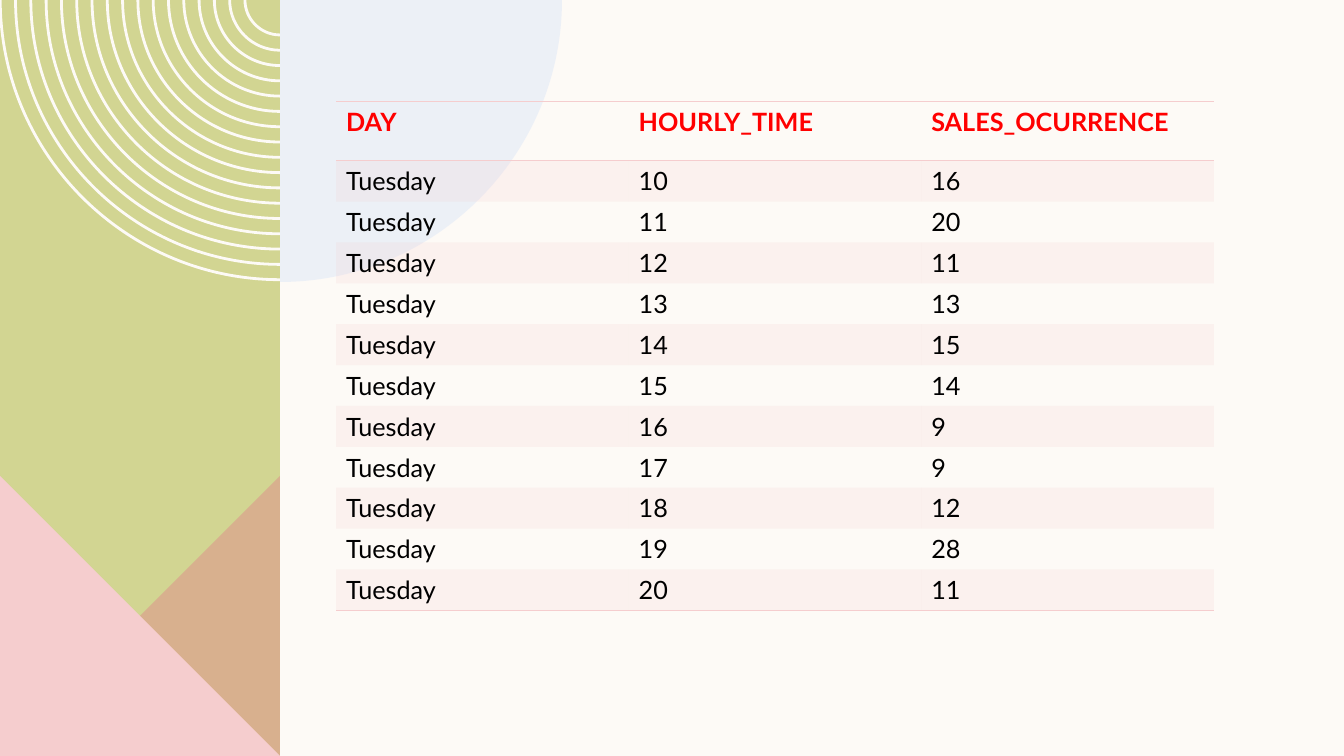
from lxml.etree import SubElement
from pptx import Presentation
from pptx.dml.color import RGBColor
from pptx.enum.text import MSO_ANCHOR
from pptx.oxml.ns import qn
from pptx.util import Emu, Pt

CREAM = RGBColor(0xFD, 0xFA, 0xF6)
OLIVE = RGBColor(0xD2, 0xD5, 0x92)
ROSE = RGBColor(0xDE, 0x8C, 0x8C)
PINK = RGBColor(0xF5, 0xCD, 0xCE)
SKY = RGBColor(0xDD, 0xE7, 0xF6)
RED = RGBColor(0xFF, 0x00, 0x00)
BLACK = RGBColor(0x00, 0x00, 0x00)

COLUMNS, ROWS = 48, 27
PANEL = 10
TRIANGLE_TOP = 17
RING_COUNT, RING_WIDTH = 17, 0.1
OUTER_RING, INNER_RING = 10.04, 1.3
DISC = 10.07
ROUNDNESS = 0.55
NO_TABLE_STYLE = "{2D5ABB26-0587-4C30-8999-92F81FD0307C}"

HEADINGS = ("DAY", "HOURLY_TIME", "SALES_OCURRENCE")
FIRST_HOUR = 10
SALES = (16, 20, 11, 13, 15, 14, 9, 9, 12, 28, 11)


def write(frame, text, size=18, color=BLACK, bold=False, font="Lato"):
    run = frame.paragraphs[0].add_run()
    run.text = text
    run.font.name = font
    run.font.size = Pt(size)
    run.font.bold = bold
    run.font.color.rgb = color


def paint(fill, properties, color, opacity):
    fill.solid()
    fill.fore_color.rgb = color
    if opacity < 100:
        tint = properties.find(qn("a:solidFill"))[0]
        SubElement(tint, qn("a:alpha")).set("val", str(opacity * 1000))


def quarter(radius, side):
    bend = radius * ROUNDNESS
    edge = PANEL + side * radius
    return [(edge, 0), (edge, bend), (PANEL + side * bend, radius), (PANEL, radius)]


def ring(radius):
    inner = quarter(radius - RING_WIDTH, -1)
    outer = quarter(radius, -1)[::-1]
    return [outer[-1:], inner[:1], inner[1:], outer[:1], outer[1:]]


def polygon(*corners):
    return [[corner] for corner in corners]


class GridSlide:
    """Draws slide elements on a grid of columns and rows."""

    def __init__(self, deck):
        self.unit = deck.slide_width / COLUMNS
        self.slide = deck.slides.add_slide(deck.slide_layouts[6])
        background = self.slide.background.fill
        background.solid()
        background.fore_color.rgb = CREAM

    def length(self, cells):
        return Emu(round(cells * self.unit))

    def point(self, position):
        return tuple(self.length(cells) for cells in position)

    def outline(self, contours, color, opacity=100):
        start = self.point(contours[0][0][-1])
        builder = self.slide.shapes.build_freeform(*start)
        for number, contour in enumerate(contours):
            ends = [self.point(segment[-1]) for segment in contour]
            if number:
                builder.move_to(*ends[0])
            builder.add_line_segments(ends[1:], close=True)
        shape = builder.convert_to_shape()
        self.bend(shape, [segment for contour in contours for segment in contour[1:]])
        shape.shadow.inherit = False
        shape.line.fill.background()
        paint(shape.fill, shape._element.spPr, color, opacity)

    def bend(self, shape, segments):
        strokes = list(shape._element.iter(qn("a:lnTo")))
        for stroke, segment in zip(strokes, segments):
            if len(segment) == 1:
                continue
            stroke.tag = qn("a:cubicBezTo")
            for place, control in enumerate(segment[:-1]):
                x, y = self.point(control)
                handle = SubElement(stroke, qn("a:pt"),
                                    x=str(x - shape.left), y=str(y - shape.top))
                stroke.insert(place, handle)

    def border(self, cell, side):
        line = SubElement(cell._tc.get_or_add_tcPr(), qn(f"a:ln{side}"), w=str(Pt(1)))
        solid = SubElement(line, qn("a:solidFill"))
        SubElement(solid, qn("a:srgbClr"), val=str(PINK))

    def table(self, records, left, top, column, header, row):
        count = len(records)
        frame = self.slide.shapes.add_table(
            count, len(records[0]), self.length(left), self.length(top),
            self.length(column * len(records[0])),
            self.length(header + row * (count - 1)))
        table = frame.table
        table._tbl.tblPr.find(qn("a:tableStyleId")).text = NO_TABLE_STYLE
        for table_column in table.columns:
            table_column.width = self.length(column)
        for r, record in enumerate(records):
            table.rows[r].height = self.length(row if r else header)
            for c, value in enumerate(record):
                self.cell(table.cell(r, c), value, r, count - 1)

    def cell(self, cell, value, row, last):
        heading = row == 0
        if heading:
            self.border(cell, "T")
        if row in (0, last):
            self.border(cell, "B")
        if row % 2:
            paint(cell.fill, cell._tc.get_or_add_tcPr(), PINK, 20)
        else:
            cell.fill.background()
        cell.vertical_anchor = MSO_ANCHOR.TOP if heading else MSO_ANCHOR.MIDDLE
        write(cell.text_frame, str(value), color=RED if heading else BLACK, bold=heading)


def main():
    deck = Presentation()
    deck.slide_width, deck.slide_height = Emu(12192000), Emu(6858000)
    page = GridSlide(deck)

    page.outline([polygon((0, 0), (PANEL, 0), (PANEL, ROWS), (0, ROWS))], OLIVE)
    gap = (OUTER_RING - INNER_RING) / (RING_COUNT - 1)
    page.outline([ring(OUTER_RING - gap * step) for step in range(RING_COUNT)], CREAM)
    page.outline([polygon((PANEL, TRIANGLE_TOP), (PANEL, ROWS), (0, ROWS))], ROSE, 50)
    page.outline([polygon((0, TRIANGLE_TOP), (PANEL, ROWS), (0, ROWS))], PINK)
    disc = quarter(DISC, 1)
    page.outline([[[(PANEL, 0)], disc[:1], disc[1:]]], SKY, 50)

    records = [HEADINGS]
    records += [("Tuesday", hour, sales) for hour, sales in enumerate(SALES, FIRST_HOUR)]
    page.table(records, left=12, top=3.62, column=10.45, header=2.12, row=1.46)
    deck.save("out.pptx")


if __name__ == "__main__":
    main()
